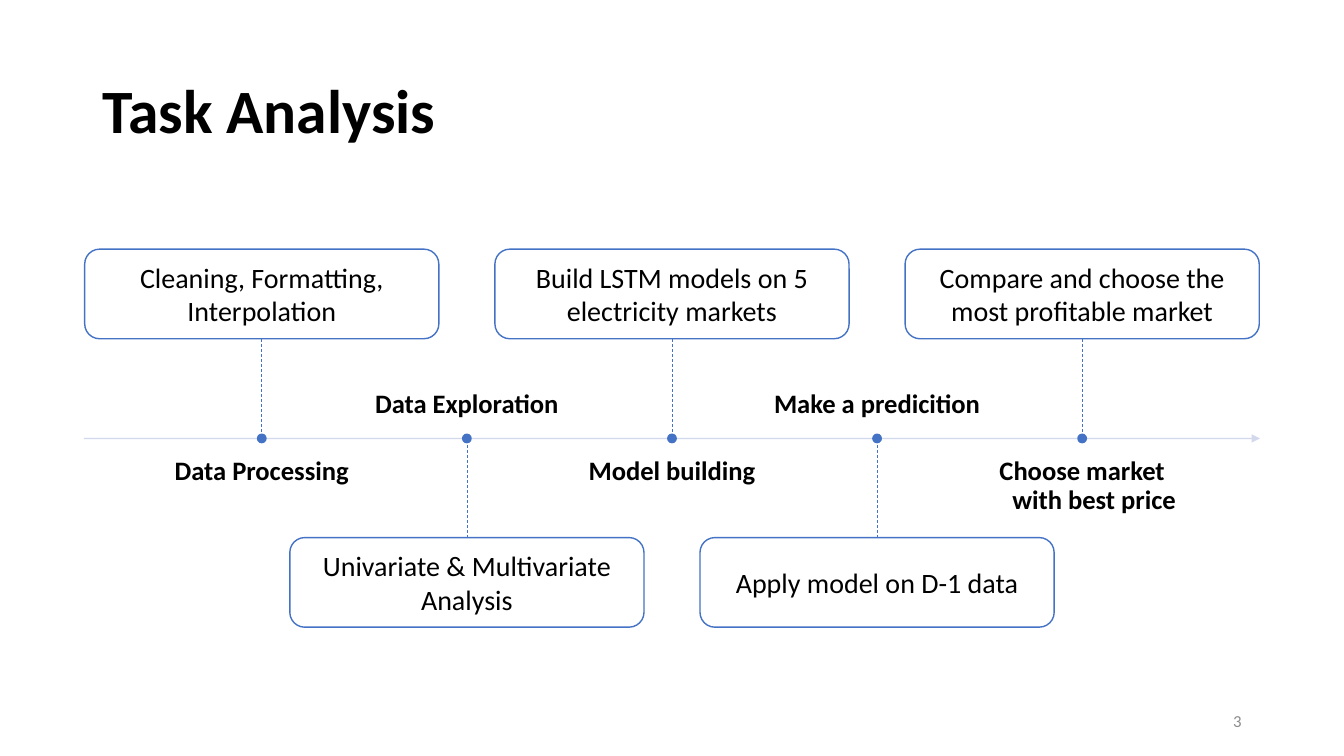
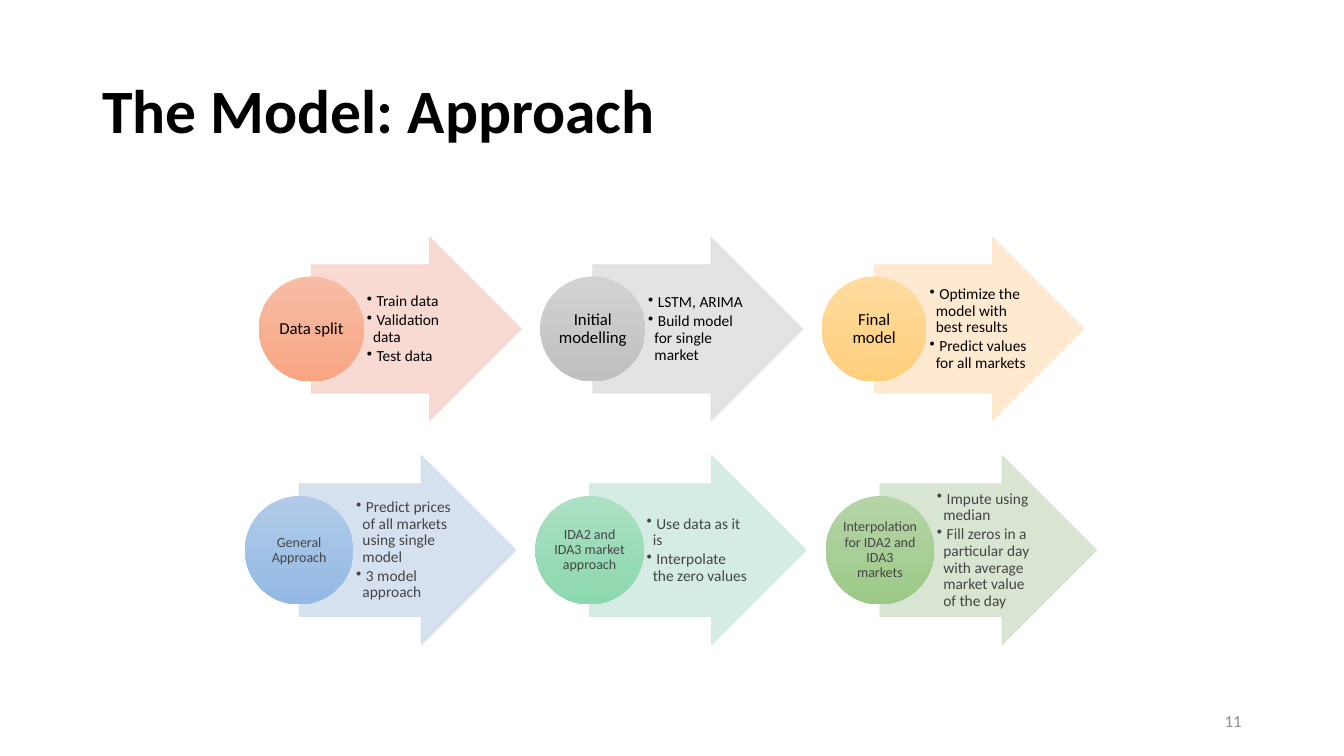
from pptx import Presentation
from pptx.dml.color import RGBColor
from pptx.enum import dml, shapes, text
from pptx.oxml import ns, xmlchemy
from pptx.util import Pt

FONT = "Calibri"
BLACK = RGBColor(0x00, 0x00, 0x00)
WHITE = RGBColor(0xFF, 0xFF, 0xFF)
DARK_GREY = RGBColor(0x44, 0x44, 0x44)
NUMBER_GREY = RGBColor(0x8C, 0x8C, 0x8C)
BLUE = RGBColor(0x44, 0x72, 0xC4)
AXIS_BLUE = RGBColor(0xCF, 0xD5, 0xEA)

ROSE = RGBColor(0xF8, 0xD7, 0xCE)
ROSE_TOP = RGBColor(0xF7, 0xBD, 0xA5)
ROSE_BASE = RGBColor(0xF8, 0xA5, 0x82)
SILVER = RGBColor(0xE1, 0xE1, 0xE1)
SILVER_TOP = RGBColor(0xD2, 0xD2, 0xD2)
SILVER_BASE = RGBColor(0xC0, 0xC0, 0xC0)
AMBER = RGBColor(0xFF, 0xE8, 0xCC)
AMBER_TOP = RGBColor(0xFF, 0xDB, 0x9E)
AMBER_BASE = RGBColor(0xFF, 0xD0, 0x7C)
SKY = RGBColor(0xD2, 0xDE, 0xEF)
SKY_TOP = RGBColor(0xB1, 0xCB, 0xE9)
SKY_BASE = RGBColor(0x93, 0xB9, 0xE4)
MINT = RGBColor(0xD0, 0xEA, 0xE1)
MINT_TOP = RGBColor(0xAB, 0xE0, 0xC3)
MINT_BASE = RGBColor(0x8C, 0xD8, 0xAF)
LEAF = RGBColor(0xD5, 0xE3, 0xCF)
LEAF_TOP = RGBColor(0xB5, 0xD5, 0xA7)
LEAF_BASE = RGBColor(0x9C, 0xC9, 0x87)

LEFT, CENTER, RIGHT = text.PP_ALIGN.LEFT, text.PP_ALIGN.CENTER, text.PP_ALIGN.RIGHT
TOP, MIDDLE, BOTTOM = text.MSO_ANCHOR.TOP, text.MSO_ANCHOR.MIDDLE, text.MSO_ANCHOR.BOTTOM
SHAPE = shapes.MSO_SHAPE

STEPS = [
    (["Data Processing"], ["Cleaning, Formatting, Interpolation"]),
    (["Data Exploration"], ["Univariate & Multivariate", "Analysis"]),
    (["Model building"], ["Build LSTM models on 5 electricity markets"]),
    (["Make a predicition"], ["Apply model on D-1 data"]),
    (["Choose market", "with best price"], ["Compare and choose the most profitable market"]),
]
STEP_PITCH = 146.5
AXIS_Y = 313.2
CARD_WIDTH, CARD_HEIGHT = 253, 64
LABEL_WIDTH, LABEL_HEIGHT = 222, 42.5
DOT = 6

MODEL_STAGES = [
    ("Data split", ["Train data", "Validation data", "Test data"],
     ROSE, ROSE_TOP, ROSE_BASE),
    ("Initial modelling", ["LSTM, ARIMA", "Build model for single market"],
     SILVER, SILVER_TOP, SILVER_BASE),
    ("Final model", ["Optimize the model with best results", "Predict values for all markets"],
     AMBER, AMBER_TOP, AMBER_BASE),
]
MARKET_STAGES = [
    ("General Approach", ["Predict prices of all markets using single model", "3 model approach"],
     SKY, SKY_TOP, SKY_BASE),
    ("IDA2 and IDA3 market approach", ["Use data as it is", "Interpolate the zero values"],
     MINT, MINT_TOP, MINT_BASE),
    ("Interpolation for IDA2 and IDA3 markets",
     ["Impute using median",
      "Fill zeros in a particular day with average market value of the day"],
     LEAF, LEAF_TOP, LEAF_BASE),
]


def add_xml(parent, tag, **attributes):
    """Append a DrawingML element with the given attributes."""
    child = xmlchemy.OxmlElement(tag)
    for name, value in attributes.items():
        child.set(name, str(value))
    parent.append(child)
    return child


def write(frame, lines, size, color=BLACK, bold=False, align=CENTER, anchor=MIDDLE,
          spacing=1.0, after=0, insets=None, bullet=False):
    """Fill a text frame with one paragraph per line."""
    frame.word_wrap = True
    frame.vertical_anchor = anchor
    if insets is not None:
        (frame.margin_left, frame.margin_top,
         frame.margin_right, frame.margin_bottom) = map(Pt, insets)
    for index, line in enumerate(lines):
        para = frame.add_paragraph() if index else frame.paragraphs[0]
        para.alignment = align
        para.line_spacing = spacing
        para.space_after = Pt(after)
        span = para.add_run()
        span.text = " " + line if bullet else line
        span.font.name = FONT
        span.font.size = Pt(size)
        span.font.bold = bold
        span.font.color.rgb = color
        if bullet:
            indent_para(para, 4.5, -4.5)
            add_xml(para._p.get_or_add_pPr(), "a:buChar", char="•")


def indent_para(para, left, first=0):
    """Set the left margin and first-line indent of a paragraph."""
    properties = para._p.get_or_add_pPr()
    properties.set("marL", str(Pt(left)))
    properties.set("indent", str(Pt(first)))


def add_text(page, left, top, width, height, lines, **style):
    """Add a text box and return it."""
    box = page.shapes.add_textbox(Pt(left), Pt(top), Pt(width), Pt(height))
    write(box.text_frame, lines, **style)
    return box


def add_shape(page, preset, left, top, width, height, fill=None, outline=None, weight=1):
    """Add a flat preset shape."""
    shape = page.shapes.add_shape(preset, Pt(left), Pt(top), Pt(width), Pt(height))
    shape.shadow.inherit = False
    if fill is not None:
        shape.fill.solid()
        shape.fill.fore_color.rgb = fill
    if outline is None:
        shape.line.fill.background()
    else:
        shape.line.color.rgb = outline
        shape.line.width = Pt(weight)
    return shape


def set_opacity(shape, percent):
    """Make the solid fill and line of a shape partly transparent."""
    for color in shape._element.spPr.iter(ns.qn("a:srgbClr")):
        add_xml(color, "a:alpha", val=percent * 1000)


def add_line(page, x1, y1, x2, y2, color, weight, dashed=False, arrow=False, opacity=100):
    """Add a straight connector, optionally dashed or with an arrowhead."""
    line = page.shapes.add_connector(
        shapes.MSO_CONNECTOR.STRAIGHT, Pt(x1), Pt(y1), Pt(x2), Pt(y2))
    line.line.color.rgb = color
    line.line.width = Pt(weight)
    if dashed:
        line.line.dash_style = dml.MSO_LINE.DASH
    if arrow:
        add_xml(line.line._get_or_add_ln(), "a:tailEnd", type="triangle")
    if opacity < 100:
        set_opacity(line, opacity)
    add_xml(line._element.spPr, "a:effectLst")


def add_page(deck, title, number):
    """Add a slide with the shared title style and page number."""
    page = deck.slides.add_slide(deck.slide_layouts[5])
    heading = page.shapes.title
    heading.left, heading.top, heading.width, heading.height = map(Pt, (66, 28.8, 828, 104.4))
    write(heading.text_frame, [title], size=44, bold=True, align=LEFT, spacing=0.9)
    add_text(page, 678, 500.4, 216, 28.8, [number], size=12, color=NUMBER_GREY, align=RIGHT)
    return page


def add_step(page, center, label, card_lines, card_above):
    """Add one timeline step with its card and label on opposite sides of the axis."""
    card_top = 178 if card_above else 384
    card_edge = card_top + CARD_HEIGHT if card_above else card_top
    label_top = 327 if card_above else 257
    card = add_shape(page, SHAPE.ROUNDED_RECTANGLE, center - CARD_WIDTH / 2, card_top,
                     CARD_WIDTH, CARD_HEIGHT, fill=WHITE, outline=BLUE)
    write(card.text_frame, card_lines, size=20)
    add_line(page, center, card_edge, center, AXIS_Y, BLUE, 0.5, dashed=True)
    add_shape(page, SHAPE.OVAL, center - DOT / 2, AXIS_Y - DOT / 2, DOT, DOT,
              fill=BLUE, outline=BLUE)
    box = add_text(page, center - LABEL_WIDTH / 2, label_top, LABEL_WIDTH, LABEL_HEIGHT, label,
                   size=19, bold=True, spacing=0.9, insets=(0, 0, 0, 0),
                   anchor=TOP if card_above else BOTTOM)
    for para in box.text_frame.paragraphs[1:]:
        indent_para(para, 17)


def add_stage(page, left, middle, diameter, stage, size, color):
    """Add an arrow with bullets and a gradient circle at its tail."""
    name, points, arrow_fill, circle_top, circle_base = stage
    arrow_height = 1.75 * diameter
    arrow = add_shape(page, SHAPE.RIGHT_ARROW, left + diameter / 2, middle - arrow_height / 2,
                      2 * diameter, arrow_height, fill=arrow_fill, outline=arrow_fill, weight=0.5)
    arrow.adjustments[0] = 0.7
    set_opacity(arrow, 90)
    text_height = 0.7 * arrow_height
    add_text(page, left + diameter, middle - text_height / 2, 0.975 * diameter, text_height,
             points, size=11, color=color, align=LEFT, spacing=0.9, after=1.65,
             insets=(2, 0.75, 1.25, 0.75), bullet=True)
    circle = add_shape(page, SHAPE.OVAL, left, middle - diameter / 2, diameter, diameter)
    circle.fill.gradient()
    circle.fill.gradient_angle = 270
    for stop, shade in zip(circle.fill.gradient_stops, (circle_top, circle_base)):
        stop.color.rgb = shade
    write(circle.text_frame, [name], size=size, color=color, spacing=0.9, insets=[0.75] * 4)


def add_stage_row(page, left, middle, diameter, stages, size, color):
    """Add a row of evenly spaced stages."""
    for index, stage in enumerate(stages):
        add_stage(page, left + index * 2.68 * diameter, middle, diameter, stage, size, color)


def main():
    """Build and save the deck."""
    deck = Presentation()
    deck.slide_width, deck.slide_height = Pt(960), Pt(540)

    page = add_page(deck, "Task Analysis", "3")
    add_line(page, 60, AXIS_Y, 900, AXIS_Y, AXIS_BLUE, 1, arrow=True, opacity=90)
    for index, (label, card_lines) in enumerate(STEPS):
        add_step(page, 480 + (index - 2) * STEP_PITCH, label, card_lines, index % 2 == 0)

    page = add_page(deck, "The Model: Approach", "11")
    add_stage_row(page, 185, 235, 75, MODEL_STAGES, 12, BLACK)
    add_stage_row(page, 175, 393, 77.4, MARKET_STAGES, 10, DARK_GREY)

    deck.save("out.pptx")


if __name__ == "__main__":
    main()
